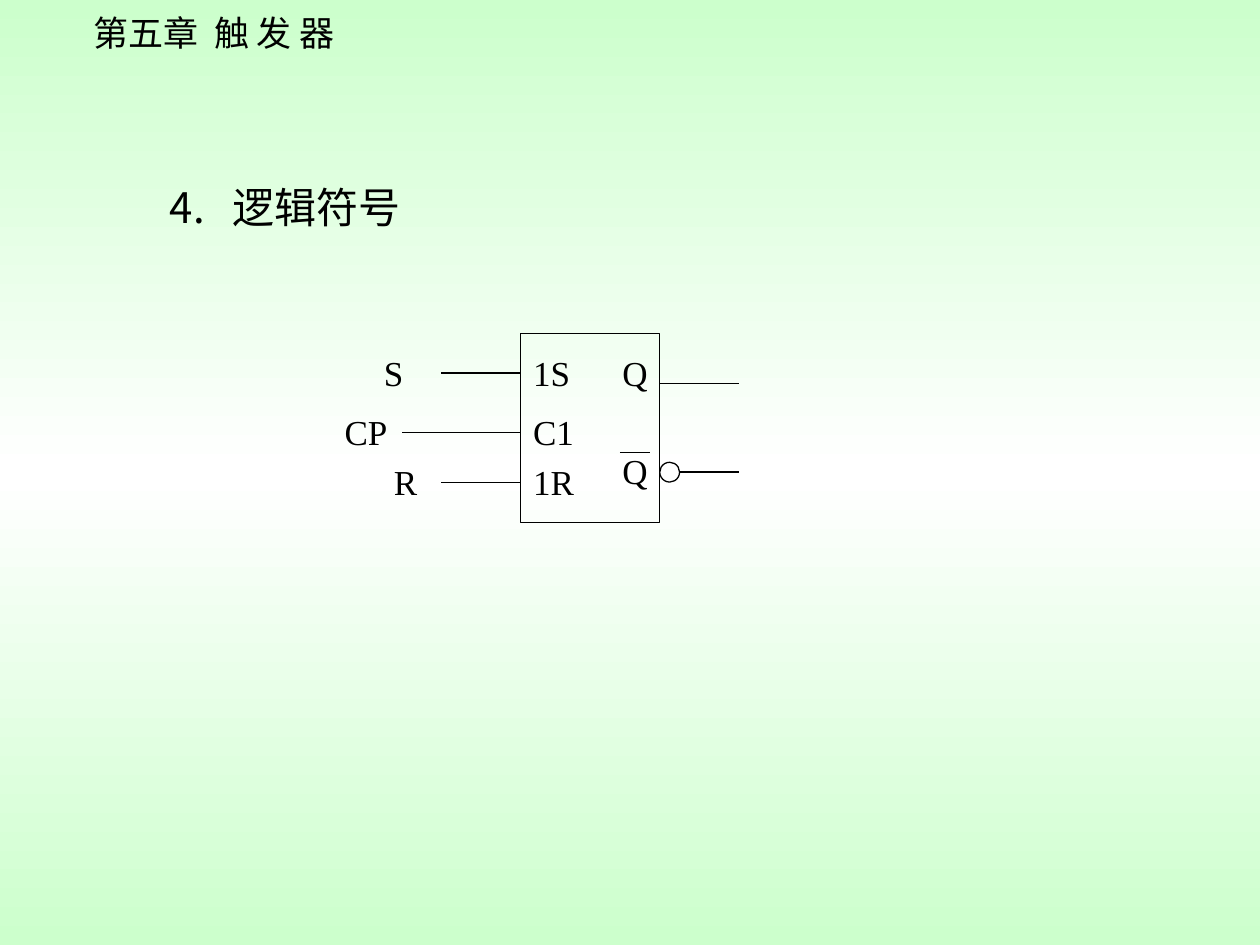
import copy
from dataclasses import dataclass

from lxml import etree
from pptx import Presentation
from pptx import util as u
from pptx.dml.color import RGBColor
from pptx.enum import shapes, text
from pptx.oxml import ns


@dataclass(frozen=True)
class Theme:
    ink: RGBColor = RGBColor(0x00, 0x00, 0x00)
    edge: RGBColor = RGBColor(0xCC, 0xFF, 0xCC)
    middle: RGBColor = RGBColor(0xFF, 0xFF, 0xFF)
    latin: str = "Times New Roman"
    chinese: str = "Noto Sans CJK SC"
    label_size: float = 20
    heading_size: float = 24
    line_width: float = 0.75


THEME = Theme()

# Symbol geometry, in points
LEFT, TOP, WIDTH, HEIGHT = 297.5, 190.8, 79.5, 108
RIGHT = LEFT + WIDTH
LABEL_WIDTH, LABEL_HEIGHT = 51, 31.7
BUBBLE = 11.3
LEAD_END = 422.5

# Inputs: outside label, its left edge, pin name, label top, lead start, lead height
INPUTS = [
    ("S", 212.2, "1S", 196.7, 252, 213.2),
    ("CP", 189.8, "C1", 230.6, 229.6, 247.2),
    ("R", 218, "1R", 258.8, 252, 275.6),
]
# Outputs: label top, lead start, lead height
OUTPUTS = [(196.7, RIGHT, 219), (253, RIGHT + BUBBLE, 269.8)]


def paint_background(slide):
    fill = slide.background.fill
    fill.gradient()
    fill.gradient_angle = 270
    first = fill.gradient_stops[0]._gs
    first.addnext(copy.deepcopy(first))
    stops = zip(fill.gradient_stops, (0, 0.5, 1), (THEME.edge, THEME.middle, THEME.edge))
    for stop, position, color in stops:
        stop.position = position
        stop.color.rgb = color


def add_run(paragraph, words, size, latin):
    run = paragraph.add_run()
    run.text = words
    run.font.size = u.Pt(size)
    run.font.name = latin
    run.font.color.rgb = THEME.ink
    etree.SubElement(run._r.get_or_add_rPr(), ns.qn("a:ea"), typeface=THEME.chinese)
    return run


def add_box(slide, left, top, width, height, wrap=True):
    frame = slide.shapes.add_textbox(*map(u.Pt, (left, top, width, height))).text_frame
    frame.word_wrap = wrap
    return frame


def add_label(slide, words, left, top):
    frame = add_box(slide, left, top, LABEL_WIDTH, LABEL_HEIGHT)
    frame.vertical_anchor = text.MSO_ANCHOR.BOTTOM
    add_run(frame.paragraphs[0], words, THEME.label_size, THEME.latin)


def add_outline(slide, preset, left, top, width, height):
    outline = slide.shapes.add_shape(preset, *map(u.Pt, (left, top, width, height)))
    outline.shadow.inherit = False
    outline.fill.background()
    outline.line.color.rgb = THEME.ink
    outline.line.width = u.Pt(THEME.line_width)


def add_lead(slide, start, end, y):
    lead = slide.shapes.add_connector(
        shapes.MSO_CONNECTOR.STRAIGHT, u.Pt(start), u.Pt(y), u.Pt(end), u.Pt(y))
    lead.line.color.rgb = THEME.ink
    lead.line.width = u.Pt(THEME.line_width)
    etree.SubElement(lead._element.spPr, ns.qn("a:effectLst"))


def add_chapter(slide):
    chapter = add_box(slide, 46.1, 2.9, 157, 31.7, wrap=False).paragraphs[0]
    add_run(chapter, "第五章", THEME.label_size, THEME.chinese)
    gap = add_run(chapter, " ", THEME.label_size, THEME.chinese)
    gap.font._element.set("spc", "450")  # widens the gap after the chapter number
    add_run(chapter, "触 发 器", THEME.label_size, THEME.chinese)


def add_heading(slide):
    heading = add_box(slide, 54, 100.1, 612, 62.6).paragraphs[0]
    properties = heading._p.get_or_add_pPr()
    properties.set("marL", str(u.Pt(72)))
    properties.set("indent", str(u.Pt(-36)))
    etree.SubElement(properties, ns.qn("a:buFont"), typeface=THEME.chinese)
    etree.SubElement(properties, ns.qn("a:buAutoNum"), type="arabicPeriod", startAt="4")
    add_run(heading, "逻辑符号", THEME.heading_size, THEME.latin)


def add_symbol(slide):
    # Body and inversion bubble
    bubble_top = OUTPUTS[1][2] - BUBBLE / 2
    add_outline(slide, shapes.MSO_SHAPE.OVAL, RIGHT, bubble_top, BUBBLE, BUBBLE)
    add_outline(slide, shapes.MSO_SHAPE.RECTANGLE, LEFT, TOP, WIDTH, HEIGHT)

    # Inputs
    for signal, signal_left, pin, label_top, lead_start, y in INPUTS:
        add_lead(slide, LEFT, lead_start, y)
        add_label(slide, pin, LEFT, label_top)
        add_label(slide, signal, signal_left, label_top)

    # Outputs, with the bar over the inverted one
    for label_top, lead_start, y in OUTPUTS:
        add_lead(slide, lead_start, LEAD_END, y)
        add_label(slide, "Q", 348.5, label_top)
    add_lead(slide, 354.3, 371.5, 258.5)


def main():
    deck = Presentation()
    deck.slide_width, deck.slide_height = u.Pt(720), u.Pt(540)
    slide = deck.slides.add_slide(deck.slide_layouts[6])
    paint_background(slide)
    add_chapter(slide)
    add_heading(slide)
    add_symbol(slide)
    deck.save("out.pptx")


if __name__ == "__main__":
    main()
